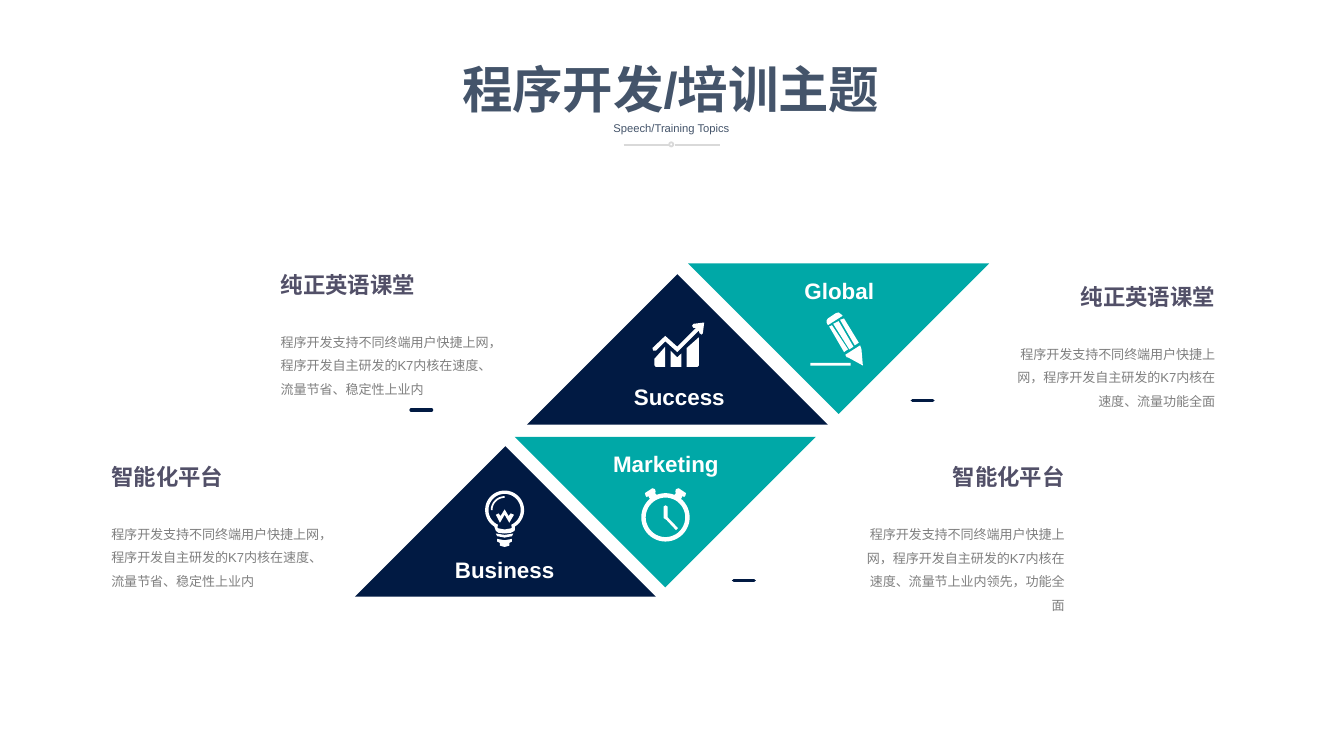
from math import cos, radians, sin

from lxml import etree
from pptx import Presentation
from pptx.dml.color import RGBColor
from pptx.enum import shapes, text
from pptx.oxml import ns
from pptx.util import Inches, Pt

NAVY = RGBColor(0x01, 0x1A, 0x43)
TEAL = RGBColor(0x00, 0xA8, 0xA7)
WHITE = RGBColor(0xFF, 0xFF, 0xFF)
SLATE = RGBColor(0x44, 0x54, 0x6A)
PLUM = RGBColor(0x52, 0x50, 0x68)
GRAY = RGBColor(0x80, 0x80, 0x80)
SILVER = RGBColor(0xD9, 0xD9, 0xD9)

LEFT, CENTER, RIGHT = text.PP_ALIGN.LEFT, text.PP_ALIGN.CENTER, text.PP_ALIGN.RIGHT
SLIDE_W = 10
SLIDE_H = SLIDE_W * 9 / 16
TRIANGLE_W, TRIANGLE_H = 2.24, 1.12


def arc(cx, cy, radius, start, end, steps=48):
    """Return points along a circular arc, with angles in degrees."""
    angles = [radians(start + (end - start) * i / steps) for i in range(steps + 1)]
    return [(cx + radius * cos(a), cy + radius * sin(a)) for a in angles]


CLOCK_EAR = [(30, 8), (31, 6), (32, 7), (33, 6), (33.5, 4), (28, 0.3),
             (26, 1), (25.5, 3), (26, 4), (25, 5)]
BULB = [
    arc(14.5, 14.5, 14.5, 122, 418) + [(22, 30), (19, 31.5), (14.5, 32), (10, 31.5), (8, 30)],
    arc(14.5, 14.5, 12, 115, 425) + [(19.7, 28), (14.5, 29), (9.3, 28)],
    [(8, 18), (10, 17), (11.5, 19), (14.5, 14), (17.5, 19), (19, 17), (21.5, 18),
     (18, 24), (14.5, 18), (11, 24)],
    arc(14.5, 14.5, 10.3, 180, 270) + arc(14.5, 14.5, 9, 270, 180),
    [(8, 32), (14.5, 33), (21, 32), (20, 34), (14.5, 35), (9, 34)],
    [(9, 36), (14.5, 37), (20, 36), (20, 38), (18, 39), (18, 41), (14.5, 42),
     (11, 41), (11, 39), (9, 38)],
]
CLOCK = [
    arc(18.2, 22, 18, 0, 360),
    arc(18.2, 22, 14.7, 0, 360),
    [(16.8, 14), (18.2, 13), (19.8, 14), (19.8, 22), (27.5, 30), (26, 31.5), (19, 24),
     (16.8, 22.5)],
    CLOCK_EAR,
    [(36.4 - x, y) for x, y in CLOCK_EAR],
]
GROWTH = [
    [(14, 21), (19, 26), (22, 23), (22, 33), (14, 33)],
    [(2, 27), (10, 18), (10, 33), (3, 33), (2, 32)],
    [(26, 19), (35, 11), (35, 32), (34, 33), (26, 33)],
    [(39, 0), (38, 8), (37, 9), (35.5, 8), (35, 6), (19, 22), (10, 14), (3, 21), (1, 21),
     (0.5, 19), (10, 10), (19, 18), (33, 4), (31, 4), (30, 2.5), (31, 1)],
]
PENCIL = [
    [(27, 34), (28, 34), (39, 40), (38, 28), (37, 25), (26, 32)],
    [(33, 25), (36, 23), (25, 5), (22, 6)],
    [(32, 26), (21, 7), (17, 9), (29, 28)],
    [(14, 11), (25, 30), (28, 28), (16, 10)],
    [(13, 10), (24, 3), (23, 2), (21, 0.5), (19, 1), (13, 5), (12, 6.5), (12, 8)],
    [(0, 38), (30, 38), (30, 40), (0, 40)],
]
POINTING_UP = [(0, TRIANGLE_H), (TRIANGLE_W / 2, 0), (TRIANGLE_W, TRIANGLE_H)]
POINTING_DOWN = [(0, 0), (TRIANGLE_W / 2, TRIANGLE_H), (TRIANGLE_W, 0)]

TILES = [
    (2.64, 3.32, POINTING_UP, NAVY, "Business", (0.39, 0.82), BULB, (0.97, 0.33)),
    (5.12, 1.96, POINTING_DOWN, TEAL, "Global", (0.4, 0.1), PENCIL, (0.91, 0.36)),
    (3.83, 3.25, POINTING_DOWN, TEAL, "Marketing", (0.4, 0.1), CLOCK, (0.94, 0.38)),
    (3.92, 2.04, POINTING_UP, NAVY, "Success", (0.41, 0.81), GROWTH, (0.93, 0.36)),
]
OPENING = "程序开发支持不同终端用户快捷上网，程序开发自主研发的K7内核在速度、"
TOPICS = [
    (1.99, 1.97, 1.77, LEFT, "纯正英语课堂", "流量节省、稳定性上业内", 0.63),
    (0.73, 3.4, 1.77, LEFT, "智能化平台", "流量节省、稳定性上业内", 0.63),
    (7.4, 2.06, 1.74, RIGHT, "纯正英语课堂", "流量功能全面", 0.63),
    (6.28, 3.4, 1.74, RIGHT, "智能化平台", "流量节上业内领先，功能全面", 0.81),
]
DASHES = [(3.06, 3.05), (5.46, 4.32), (6.79, 2.98)]


def add_outline(slide, left, top, contours, color):
    """Draw closed contours, given in inches from left and top, as one filled shape."""
    placed = [[(Inches(left + x), Inches(top + y)) for x, y in contour] for contour in contours]
    builder = slide.shapes.build_freeform(*placed[0][0], scale=1.0)
    for index, contour in enumerate(placed):
        if index:
            builder.move_to(*contour[0])
        builder.add_line_segments(contour[1:], close=True)
    outline = builder.convert_to_shape()
    outline.shadow.inherit = False
    outline.fill.solid()
    outline.fill.fore_color.rgb = color
    outline.line.fill.background()


def add_words(slide, box, words, size, color, align, bold=False, inset=True, spacing=None):
    """Place one paragraph of text in a box given in inches."""
    frame = slide.shapes.add_textbox(*map(Inches, box)).text_frame
    settings = {"word_wrap": True, "auto_size": text.MSO_AUTO_SIZE.SHAPE_TO_FIT_TEXT}
    if not inset:
        settings.update(margin_left=0, margin_top=0, margin_right=0, margin_bottom=0)
    for key, value in settings.items():
        setattr(frame, key, value)
    paragraph = frame.paragraphs[0]
    paragraph.alignment, paragraph.line_spacing = align, spacing
    run = paragraph.add_run()
    run.text = words
    for key, value in {"name": "Arial", "size": Pt(size), "bold": bold}.items():
        setattr(run.font, key, value)
    run.font.color.rgb = color


def add_rule(slide, left, top, width, color, weight, cap="flat"):
    """Draw a horizontal line."""
    rule = slide.shapes.add_connector(
        shapes.MSO_CONNECTOR.STRAIGHT, *map(Inches, (left, top, left + width, top)))
    rule.line.color.rgb, rule.line.width = color, Pt(weight)
    properties = rule.element.spPr
    properties.find(ns.qn("a:ln")).set("cap", cap)
    etree.SubElement(properties, ns.qn("a:effectLst"))


def add_tile(slide, left, top, triangle, color, label, label_at, icon, icon_at):
    """Draw a triangle with its icon and label."""
    add_outline(slide, left, top, [triangle], color)
    contours = [[(x / 100, y / 100) for x, y in contour] for contour in icon]
    add_outline(slide, left + icon_at[0], top + icon_at[1], contours, WHITE)
    add_words(slide, (left + label_at[0], top + label_at[1], 1.45, 0.2), label, 12, WHITE,
              CENTER, bold=True, inset=False)


def add_topic(slide, left, top, width, align, heading, ending, height):
    """Place a heading above its description."""
    heading_left = left if align == LEFT else left + width - 1.55
    add_words(slide, (heading_left, top, 1.55, 0.3), heading, 12, PLUM, align, bold=True)
    add_words(slide, (left, top + 0.41, width, height), OPENING + ending, 7, GRAY, align,
              spacing=1.5)


def add_header(slide, left, top, width):
    """Place the title, subtitle and divider."""
    middle = left + width / 2
    add_words(slide, (middle - 0.59, top + 0.47, 1.19, 0.2), "Speech/Training Topics", 6,
              SLATE, CENTER)
    add_words(slide, (left, top, width, 0.56), "程序开发/培训主题", 27, SLATE, CENTER, bold=True)
    ring = slide.shapes.add_shape(shapes.MSO_SHAPE.OVAL, *map(
        Inches, (middle - 0.01, top + 0.68, 0.03, 0.03)))
    ring.shadow.inherit = False
    ring.fill.background()
    ring.line.color.rgb, ring.line.width = SILVER, Pt(1)
    for start in (middle - 0.35, middle + 0.03):
        add_rule(slide, start, top + 0.7, 0.34, SILVER, 1)


def main():
    """Build and save the slide."""
    deck = Presentation()
    deck.slide_width, deck.slide_height = Inches(SLIDE_W), Inches(SLIDE_H)
    slide = deck.slides.add_slide(deck.slide_layouts[6])
    for tile in TILES:
        add_tile(slide, *tile)
    for left, top in DASHES:
        add_rule(slide, left, top, 0.15, NAVY, 2, "rnd")
    for topic in TOPICS:
        add_topic(slide, *topic)
    add_header(slide, 2.83, 0.38, 4.32)
    deck.save("out.pptx")


if __name__ == "__main__":
    main()
